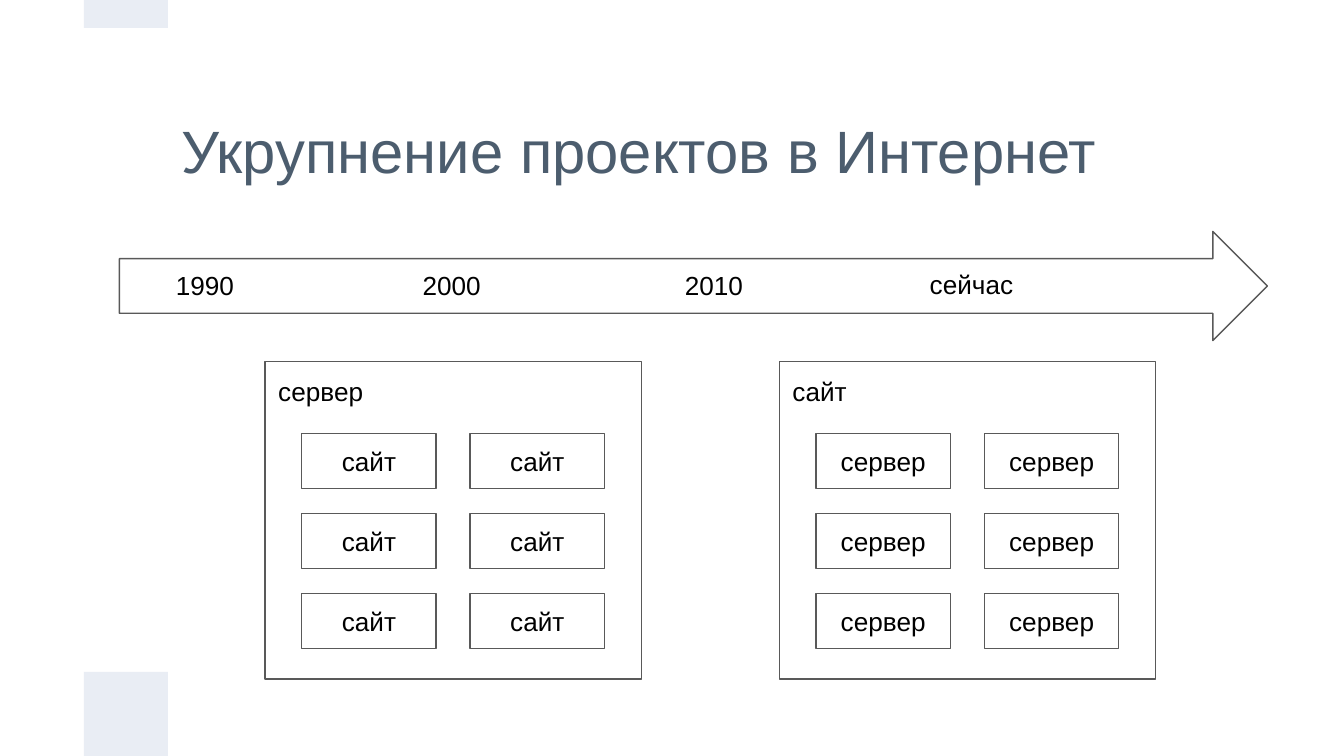
from itertools import product

from pptx import Presentation
from pptx.dml.color import RGBColor
from pptx.enum.shapes import MSO_SHAPE as Shape
from pptx.enum.text import MSO_ANCHOR as Anchor, PP_ALIGN as Align
from pptx.util import Pt

COLORS = {
    "title": "4C5D6E",
    "accent": "E9EDF4",
    "outline": "595959",
    "panel": "FFFFFF",
    "text": "000000",
}
INSET = 7.2


def color(name):
    return RGBColor.from_string(COLORS[name])


def write(holder, words, size=14, tint="text", align=Align.LEFT, anchor=Anchor.TOP):
    frame = holder.text_frame
    frame.text = words
    frame.word_wrap = True
    frame.vertical_anchor = anchor
    frame.margin_left = frame.margin_right = Pt(INSET)
    frame.margin_top = frame.margin_bottom = Pt(INSET)
    line = frame.paragraphs[0]
    line.alignment = align
    font = line.runs[0].font
    font.name = "Arial"
    font.size = Pt(size)
    font.color.rgb = color(tint)


def add_title(slide, words):
    title = slide.shapes.title
    title.left, title.top, title.width, title.height = Pt(90), Pt(45), Pt(540), Pt(70.5)
    write(title, words, 32, "title", anchor=Anchor.MIDDLE)


def add_block(slide, left, top, width, height, fill=None, outlined=True, kind=Shape.RECTANGLE):
    block = slide.shapes.add_shape(kind, Pt(left), Pt(top), Pt(width), Pt(height))
    block.shadow.inherit = False
    if fill:
        block.fill.solid()
        block.fill.fore_color.rgb = color(fill)
    else:
        block.fill.background()
    if outlined:
        block.line.color.rgb = color("outline")
        block.line.width = Pt(0.75)
    else:
        block.line.fill.background()
    return block


def add_label(slide, words, left, top, height, align=Align.LEFT):
    label = slide.shapes.add_textbox(Pt(left), Pt(top), Pt(64), Pt(height))
    write(label, words, align=align)


def add_group(slide, left, owner, member):
    top = 193.8
    add_block(slide, left, top, 201.6, 170, "panel")
    add_label(slide, owner, left, top, 33)
    for column, row in product(range(2), range(3)):
        cell = add_block(slide, left + 19.7 + 90.2 * column, top + 38.5 + 42.9 * row, 72, 29.3)
        write(cell, member, align=Align.CENTER, anchor=Anchor.MIDDLE)


def add_timeline(slide):
    add_block(slide, 64, 124, 615, 58.5, kind=Shape.RIGHT_ARROW)
    for year, left in (("1990", 77.8), ("2000", 210), ("2010", 350.5)):
        add_label(slide, year, left, 137, 29.5, Align.CENTER)
    add_label(slide, "сейчас", 491, 136.5, 29.5)


def main():
    deck = Presentation()
    deck.slide_width, deck.slide_height = Pt(720), Pt(405)
    slide = deck.slides.add_slide(deck.slide_layouts[5])
    add_title(slide, "Укрупнение проектов в Интернет")
    for top, height in ((360, 45), (0, 15)):
        add_block(slide, 45, top, 45, height, "accent", outlined=False)
    add_group(slide, 417.5, "сайт", "сервер")
    add_group(slide, 142, "сервер", "сайт")
    add_timeline(slide)
    deck.save("out.pptx")


if __name__ == "__main__":
    main()
